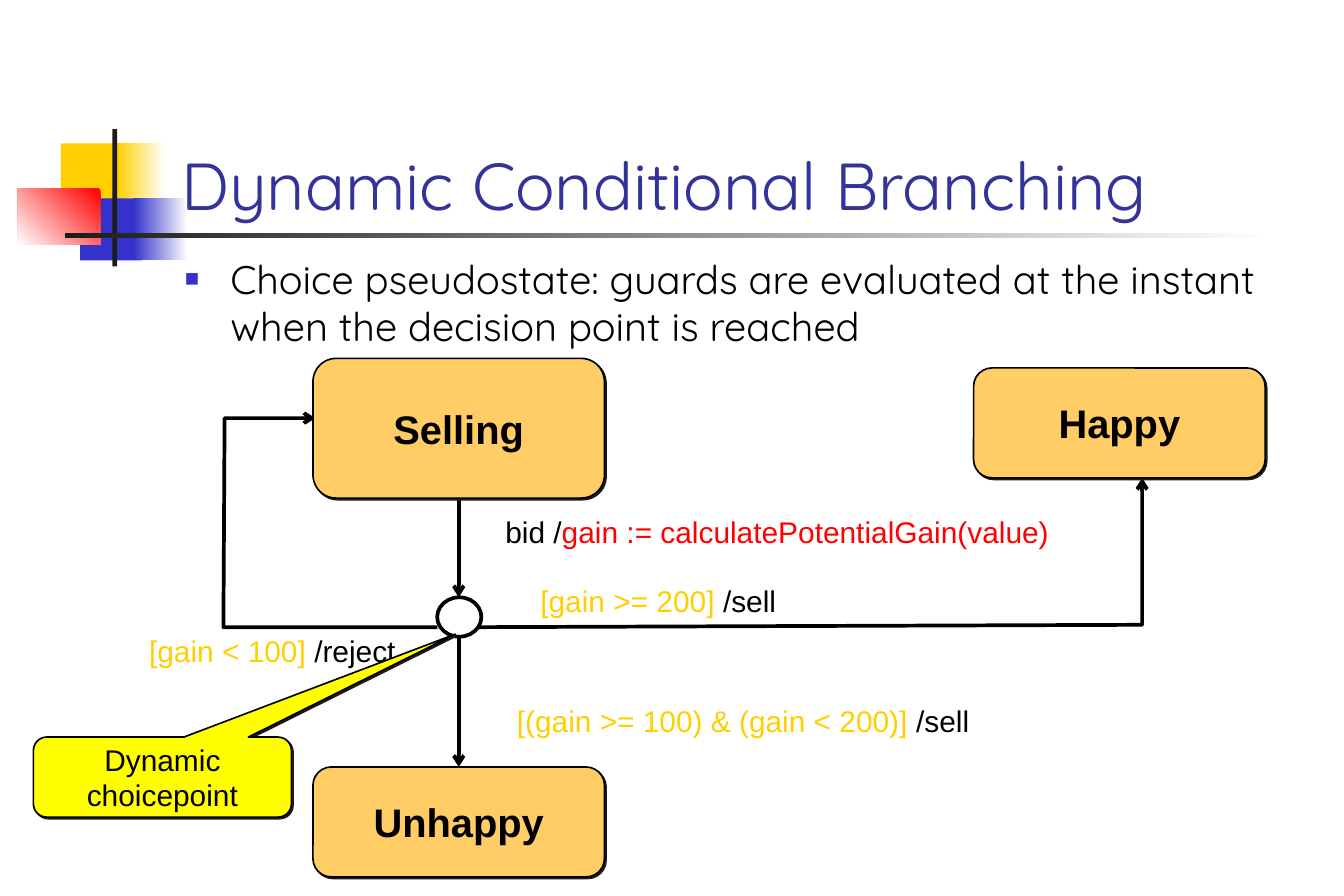
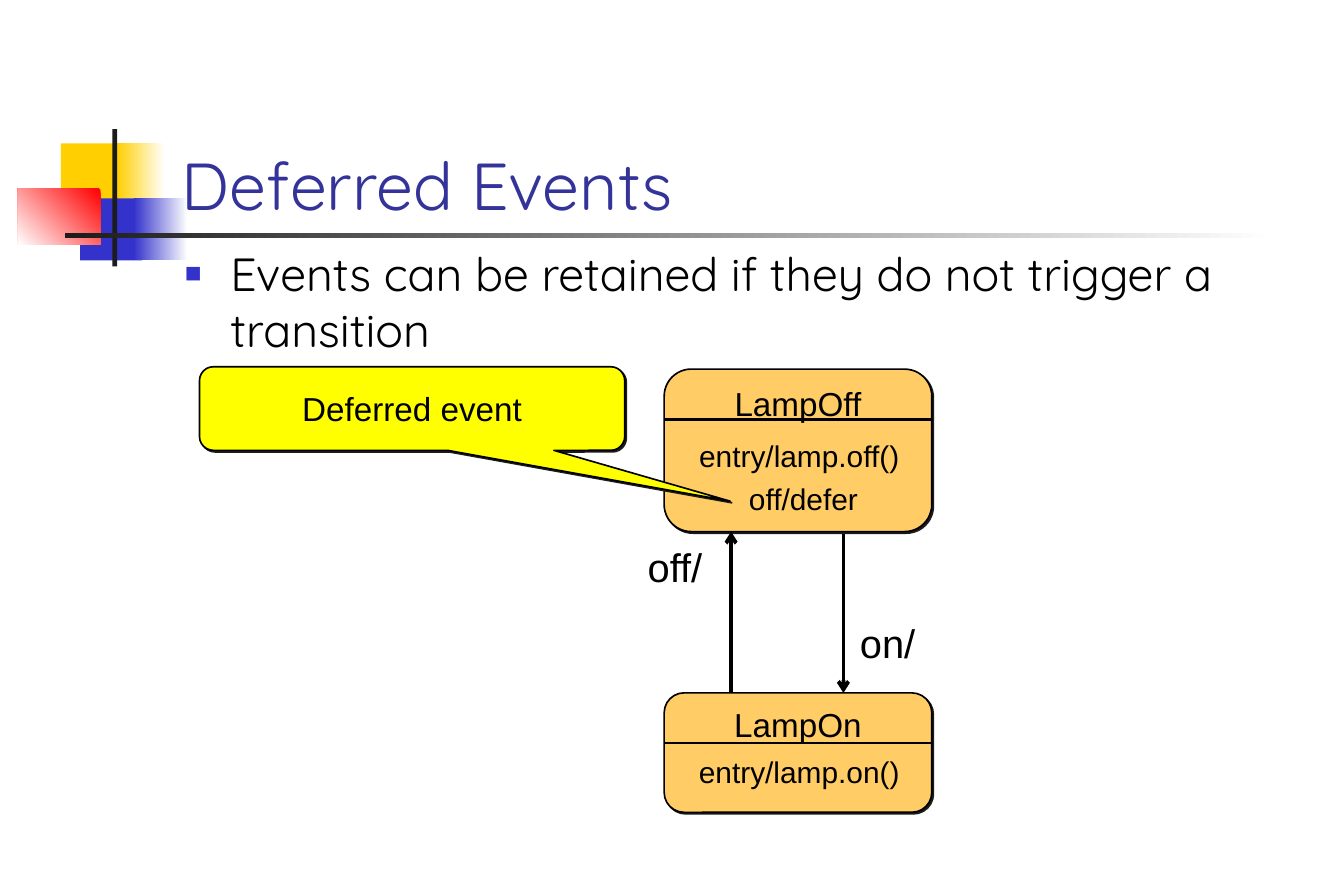
from pptx import Presentation
from pptx.dml.color import RGBColor
from pptx.enum.shapes import MSO_CONNECTOR, MSO_SHAPE as SHAPE
from pptx.enum.text import MSO_ANCHOR as ANCHOR, MSO_AUTO_SIZE as AUTO, PP_ALIGN as ALIGN
from pptx.oxml.ns import qn
from pptx.util import Inches, Pt
from lxml import etree

COLORS = {
    "white": "FFFFFF", "black": "000000", "dark": "1C1C1C", "title": "333399",
    "blue": "3333CC", "gold": "FFCF01", "red": "FF0000",
    "state": "FFCC66", "note": "FFFF00",
}
RGB = {name: RGBColor.from_string(value) for name, value in COLORS.items()}


def box(s, kind, at, lines=(), size=18, bold=False, fill="state", width=1,
        shadow=True, anchor=ANCHOR.MIDDLE):
    """Add a shape, or a text box if kind is None; each line is a list of (text, colour)."""
    at = [Inches(v) for v in at]
    if kind is None:
        sp = s.shapes.add_textbox(*at)
        sp.text_frame.auto_size = AUTO.SHAPE_TO_FIT_TEXT
    else:
        sp = s.shapes.add_shape(kind, *at)
        sp.shadow.inherit = False
        sp.fill.solid()
        sp.fill.fore_color.rgb = RGB[fill]
        if width:
            sp.line.color.rgb = RGB["black"]
            sp.line.width = Pt(width)
        else:
            sp.line.fill.background()
        if shadow:
            effects = sp._element.spPr.find(qn("a:effectLst"))
            outer = etree.SubElement(effects, qn("a:outerShdw"), blurRad="0",
                                     dist=str(Pt(1.4)), dir="2700000", algn="ctr")
            etree.SubElement(outer, qn("a:srgbClr"), val=COLORS["dark"])
    tf = sp.text_frame
    tf.word_wrap = False
    tf.vertical_anchor = anchor
    for i, line in enumerate(lines):
        p = tf.add_paragraph() if i else tf.paragraphs[0]
        p.alignment = ALIGN.CENTER
        for text, color in line:
            r = p.add_run()
            r.text = text
            r.font.name, r.font.size, r.font.bold = "Arial", Pt(size), bold
            r.font.color.rgb = RGB[color]
    return sp


def path_line(s, points, width=2.25, arrow=True):
    """Join the points with a connector, or with an open outline if there are bends."""
    points = [(Inches(x), Inches(y)) for x, y in points]
    if len(points) == 2:
        sp = s.shapes.add_connector(MSO_CONNECTOR.STRAIGHT, *points[0], *points[1])
        etree.SubElement(sp._element.spPr, qn("a:effectLst"))
    else:
        builder = s.shapes.build_freeform(*points[0])
        builder.add_line_segments(points[1:], close=False)
        sp = builder.convert_to_shape()
        sp.shadow.inherit = False
        sp.fill.background()
    sp.line.color.rgb = RGB["black"]
    sp.line.width = Pt(width)
    if arrow:
        etree.SubElement(sp.line._get_or_add_ln(), qn("a:tailEnd"), type="arrow")


prs = Presentation()
prs.slide_width, prs.slide_height = Inches(11.25), Inches(7.5)
layout = prs.slide_layouts[5]

# Titles and bullets
slides = []
for title, bullet, top, size in [
    ("Dynamic Conditional Branching",
     "Choice pseudostate: guards are evaluated at the instant when the decision point is reached",
     2.08, 24),
    ("Deferred Events", "Events can be retained if they do not trigger a transition", 2, 28),
]:
    s = prs.slides.add_slide(layout)
    slides.append(s)
    heading = s.shapes.title
    heading.left, heading.top = Inches(1.42), Inches(0.67)
    heading.width, heading.height = Inches(9.59), Inches(1.25)
    body = s.shapes.add_textbox(Inches(1.45), Inches(top), Inches(9.56), Inches(4.5))

    pPr = body.text_frame.paragraphs[0]._p.get_or_add_pPr()
    pPr.set("marL", str(Inches(0.38)))
    pPr.set("indent", str(-Inches(0.38)))
    bullet_color = etree.SubElement(pPr, qn("a:buClr"))
    etree.SubElement(bullet_color, qn("a:srgbClr"), val=COLORS["blue"])
    etree.SubElement(pPr, qn("a:buSzPct"), val="60000")
    etree.SubElement(pPr, qn("a:buFont"), typeface="Arial")
    etree.SubElement(pPr, qn("a:buChar"), char="■")

    for sp, text, points, color, anchor in [
        (heading, title, 40, "title", ANCHOR.BOTTOM),
        (body, bullet, size, "black", ANCHOR.TOP),
    ]:
        tf = sp.text_frame
        tf.word_wrap, tf.auto_size, tf.vertical_anchor = True, AUTO.NONE, anchor
        p = tf.paragraphs[0]
        p.alignment = ALIGN.LEFT
        r = p.add_run()
        r.text = text
        r.font.name, r.font.size = "Quicksand", Pt(points)
        r.font.color.rgb = RGB[color]

# Shared decoration, moved to the layout: place, colours, clockwise angle
choice, deferred = slides
for i, (at, colors, angle) in enumerate([
    ((0.51, 1.2, 0.54, 0.52), ["gold"], 0),
    ((0.98, 1.2, 0.4, 0.52), ["white", "gold"], 180),
    ((0.67, 1.66, 0.52, 0.52), ["blue"], 0),
    ((1.12, 1.66, 0.45, 0.52), ["white", "blue"], 180),
    ((0.15, 1.58, 0.69, 0.47), ["red", "white"], 135),
    ((0.94, 1.08, 0.04, 1.15), ["dark"], 0),
    ((0.54, 1.95, 10.12, 0.04), ["white", "dark"], 180),
]):
    sp = box(choice, SHAPE.RECTANGLE, at, fill=colors[0], width=0, shadow=False)
    if len(colors) == 2:
        sp.fill.gradient()
        sp.fill.gradient_angle = 360 - angle
        for stop, color, position in zip(sp.fill.gradient_stops, colors, (0, 1)):
            stop.color.rgb = RGB[color]
            stop.position = position
    sp._element.nvSpPr.cNvPr.set("id", str(100 + i))
    layout.shapes._spTree.append(sp._element)

# Slide 1: transitions, states and choice point
for points in [
    [(3.66, 5.25), (1.87, 5.25), (1.88, 3.5), (2.64, 3.5)],
    [(3.94, 5.25), (9.56, 5.23), (9.56, 4)],
    [(3.84, 4.17), (3.84, 5)],
    [(3.84, 5.33), (3.84, 6.42)],
]:
    path_line(choice, points)
for name, x, y, h in [("Selling", 2.62, 3, 1.17), ("Unhappy", 2.62, 6.42, 0.92),
                      ("Happy", 8.15, 3.08, 0.92)]:
    box(choice, SHAPE.ROUNDED_RECTANGLE, (x, y, 2.44, h), [[(name, "black")]], 24, True)
box(choice, SHAPE.OVAL, (3.66, 5, 0.37, 0.33), fill="white", width=2.25, shadow=False)

# Slide 1: transition labels
for x, y, w, runs in [
    (4.13, 4.25, 4.75, [("bid /", "black"), ("gain := calculatePotentialGain(value)", "red")]),
    (4.22, 5.83, 4, [("[(gain >= 100) & (gain < 200)] ", "gold"), ("/sell", "black")]),
    (4.41, 4.83, 2.2, [("[gain >= 200] ", "gold"), ("/sell", "black")]),
    (1.13, 5.25, 2.3, [("[gain < 100] ", "gold"), ("/reject", "black")]),
]:
    box(choice, None, (x, y, w, 0.4), [runs])

# Slide 2: lamp states with their actions
for name, top, height, actions in [
    ("LampOn", 5.8, 1, [("entry/lamp.on()", 5.75, 6.26, 1.88)]),
    ("LampOff", 3.09, 1.36, [("entry/lamp.off()", 5.75, 3.61, 1.88),
                             ("off/defer", 6.17, 3.97, 1.11)]),
]:
    box(deferred, SHAPE.ROUNDED_RECTANGLE, (5.56, top, 2.24, height),
        [[(name, "black")]], 20, anchor=ANCHOR.TOP)
    path_line(deferred, [(5.56, top + 0.42), (7.81, top + 0.42)], 1.5, arrow=False)
    for text, x, y, w in actions:
        box(deferred, None, (x, y, w, 0.4), [[(text, "black")]])

# Slide 2: events between the states
for label, x, y, points in [
    ("off/", 5.32, 4.49, [(6.12, 5.8), (6.12, 4.45)]),
    ("on/", 7.1, 5.13, [(7.06, 4.47), (7.06, 5.8)]),
]:
    path_line(deferred, points)
    box(deferred, None, (x, y, 0.66, 0.5), [[(label, "black")]], 24)

# Callouts on top
for s, at, lines, size, tip in [
    (choice, (0.28, 6.17, 2.16, 0.67), ["Dynamic", "choicepoint"], 18, (1.135, -1.786)),
    (deferred, (1.67, 3.07, 3.56, 0.7), ["Deferred event"], 20, (0.748, 1.108)),
]:
    sp = box(s, SHAPE.ROUNDED_RECTANGULAR_CALLOUT, at,
             [[(line, "black")] for line in lines], size, fill="note")
    sp.adjustments[0], sp.adjustments[1] = tip

prs.save("out.pptx")
